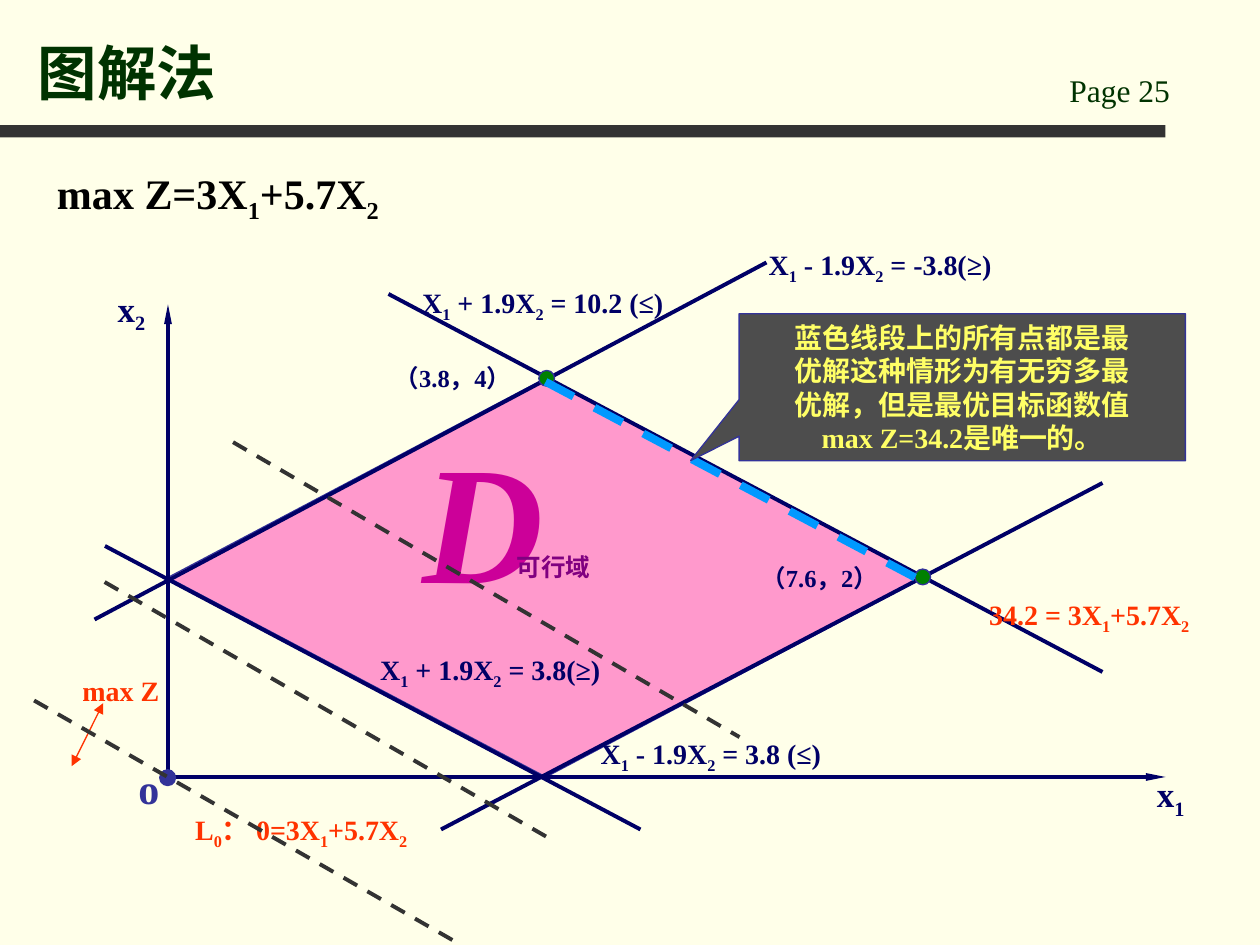
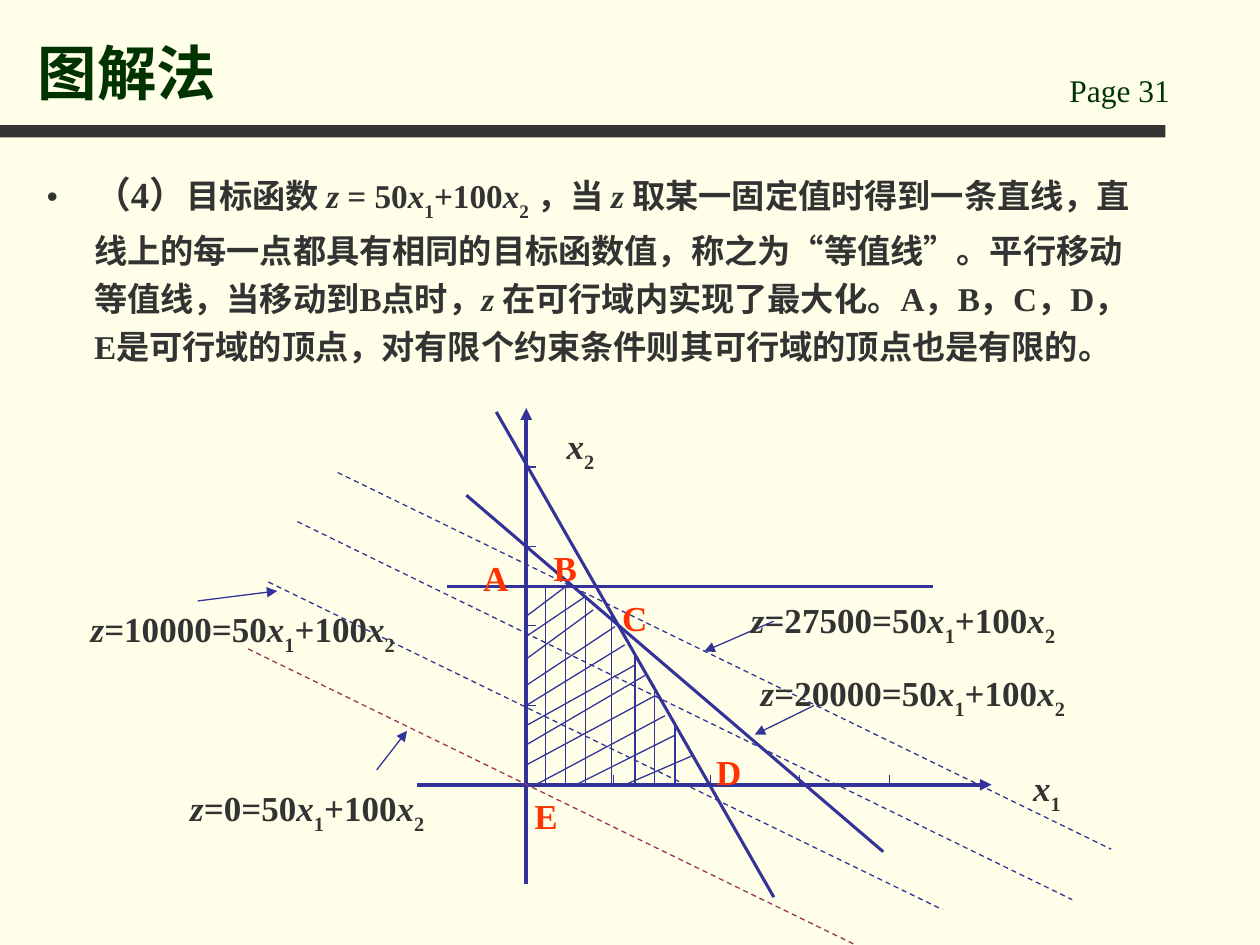
from lxml.etree import SubElement
from pptx import Presentation
from pptx.dml.color import RGBColor
from pptx.enum.dml import MSO_LINE
from pptx.enum.shapes import MSO_CONNECTOR, MSO_SHAPE as Shape
from pptx.enum.text import MSO_ANCHOR as Anchor, MSO_AUTO_SIZE as AutoSize, PP_ALIGN as Align
from pptx.oxml import parse_xml
from pptx.oxml.ns import nsdecls, qn
from pptx.util import Pt

SERIF = "Times New Roman"
CREAM, CHARCOAL, FOREST, BLACK = "FFFFE9", "333333", "003300", "000000"
NAVY, INDIGO, RED, GREEN = "000066", "333399", "FF3300", "008000"
PINK, MAGENTA, PURPLE, SKY = "FF99CC", "CC0099", "800080", "0099FF"
GREY, YELLOW, WINE = "4D4D4D", "FFFF66", "993366"

# Text markup: "|" splits spans; a span may start with
# "_" subscript, "*" italic, "#" larger, "@" Arial.
TITLE = "图解法"

# Feasible region slide: lines are (x1, y1, x2, y2) in points
REGION = (96, 216, 432, 228)
REGION_AXES = [(96, 444, 96, 174), (96, 444, 666, 444)]
REGION_EDGES = [
    (60, 312, 366, 474), (252, 474, 630, 276),
    (54, 354, 438, 150), (222, 168, 630, 384),
]
OBJECTIVE_LINES = [
    (19.5, 400.3, 263.5, 540), (59.8, 332.6, 314.6, 479.5), (133.2, 252.7, 422.6, 421.2),
]
OPTIMAL_SEGMENT = (311.8, 218.2, 527.8, 332.6)
GROWTH_ARROW = (59, 401.8, 41, 437.8)
DOTS = [(95.8, 444.4, INDIGO), (527.3, 329.7, GREEN), (312.4, 216.2, GREEN)]
REGION_LABELS = [  # text, left, top, width, size, colour
    ("max Z=3X|_1|+5.7X|_2", 25.5, 92, 210, 24, BLACK),
    ("x|_1", 654, 438, 42, 20, NAVY),
    ("x|_2", 60.2, 160.5, 42, 20, NAVY),
    ("o", 72, 432, 30, 24, INDIGO),
    ("X|_1| - 1.9X|_2| = 3.8 (≤)", 336.2, 417.5, 150, 16, NAVY),
    ("X|_1| + 1.9X|_2| = 3.8(≥)", 210.2, 369.5, 156, 16, NAVY),
    ("X|_1| - 1.9X|_2| = -3.8(≥)", 432.2, 138, 162, 16, NAVY),
    ("X|_1| + 1.9X|_2| = 10.2 (≤)", 234.2, 159.6, 162, 16, NAVY),
    ("（7.6，2）", 428, 318, 100, 14, NAVY),
    ("（3.8，4）", 218.4, 203.8, 93.5, 14, NAVY),
    ("*D", 234.2, 234, 84, 96, MAGENTA),
    ("可行域", 288.2, 312, 66, 14, PURPLE),
    ("L|_0|： 0=3X|_1|+5.7X|_2", 104.4, 461, 162, 16, RED),
    ("max Z", 40, 381.5, 62, 16, RED),
    ("34.2 = 3X|_1|+5.7X|_2", 558.2, 338.1, 140, 16, RED),
]
CALLOUT = (422.4, 179.3, 255, 84)
CALLOUT_LINES = [
    "蓝色线段上的所有点都是最", "优解这种情形为有无穷多最",
    "优解，但是最优目标函数值", "max Z=34.2是唯一的。",
]

# Level line slide
BODY = (
    "#（4）|目标函数 |*z |= 50|*x|_1|+100|*x|_2| ，当 |*z |"
    "取某一固定值时得到一条直线，直线上的每一点都具有相同的目标函数值，称之为"
    "|@“|等值线|@”|。平行移动等值线，当移动到B点时，|*z |"
    "在可行域内实现了最大化。A，B，C，D，E是可行域的顶点，"
    "对有限个约束条件则其可行域的顶点也是有限的。"
)
ORIGIN_X, ORIGIN_Y = 300.7, 448.4
LEVEL_AXES = [(ORIGIN_X, 505.3, ORIGIN_X, 233.2), (238.4, ORIGIN_Y, 566.6, ORIGIN_Y)]
TICK, TICK_STEP_Y = 5.5, 45.4
TICKS_X = [350.5, 406, 457, 508.3]
CONSTRAINTS = [
    (266.5, 283, 504.7, 486.7), (283.6, 235.4, 442.2, 512.7), (255.5, 335, 533, 335),
]
HATCH_TOPS = [  # x, top of each upright hatch line
    (311.7, 335), (323.2, 335), (334.7, 340.5), (349.3, 352),
    (362.8, 374.5), (374.2, 391.5), (385.7, 414.5),
]
HATCH_SLANTS = [
    (301, 352, 323.5, 335), (301, 363.5, 335, 340.5), (299.5, 377.5, 339, 348.5),
    (301, 391.5, 351.5, 358), (301, 403, 357, 368.5), (301, 414.5, 363, 380),
    (301, 425.5, 368.5, 386), (301, 437, 374.5, 397.5), (306, 448.5, 380, 409),
    (329, 448.5, 386, 420), (357, 448.5, 396.5, 431.5),
]
LEVEL_LINES = [
    (193, 270, 635, 485.3, INDIGO), (170, 298.1, 612.7, 514.1, INDIGO),
    (153.4, 332.6, 538.6, 519.8, INDIGO), (141.8, 370.8, 489, 540, WINE),
]
POINTERS = [
    (465.1, 403.2, 431.3, 419.8), (442.1, 355, 402.5, 372.2),
    (215.3, 439.9, 232.6, 417.6), (113, 343.4, 158.4, 337.7),
]
LEVEL_VALUES = [
    (20000, 419.6, 374.4), (27500, 414, 332.6), (0, 73.6, 440.2), (10000, 36.7, 337.8),
]
AXIS_NAMES = [("*x|_1", 578.2, 428.6), ("*x|_2", 311.7, 233.2)]
VERTICES = [
    ("A", 260.5, 309.5), ("B", 300.3, 304), ("C", 340, 332.6),
    ("D", 393.7, 420.5), ("E", 289.3, 445.6),
]


def rgb(color):
    return RGBColor.from_string(color)


def points(values):
    return [Pt(value) for value in values]


def write(para, text, size, color, bold=True, drop=25):
    """Fill a paragraph from marked-up text; drop is the subscript depth in percent."""
    font = para.font
    font.name, font.size, font.bold = SERIF, Pt(size), bold
    font.color.rgb = rgb(color)
    for piece in text.split("|"):
        mark = piece[0] if piece[0] in "_*#@" else ""
        span = para.add_run()
        span.text = piece[len(mark):]
        if mark == "_":
            span._r.get_or_add_rPr().set("baseline", str(-1000 * drop))
        elif mark == "*":
            span.font.italic = True
        elif mark == "#":
            span.font.size = Pt(size + 2)
        elif mark == "@":
            span.font.name = "Arial"


def add_label(slide, text, left, top, width, size, color, bold=True, drop=25):
    box = slide.shapes.add_textbox(*points((left, top, width, size * 1.2 + 7.2)))
    box.text_frame.word_wrap = True
    para = box.text_frame.paragraphs[0]
    write(para, text, size, color, bold, drop)
    return para


def add_graph_label(slide, text, left, top, width, color=CHARCOAL):
    para = add_label(slide, text, left, top, width, 20, color, drop=30)
    para.alignment = Align.CENTER
    para.line_spacing = 1.2


def add_line(slide, ends, color, width=0.75, dashed=False, arrows=(), head=("med", "med")):
    """Draw a straight line; arrows lists headEnd and/or tailEnd, head is (width, length)."""
    line = slide.shapes.add_connector(MSO_CONNECTOR.STRAIGHT, *points(ends))
    line.line.color.rgb = rgb(color)
    line.line.width = Pt(width)
    if dashed:
        line.line.dash_style = MSO_LINE.DASH
    properties = line._element.spPr
    for arrow in arrows:
        SubElement(properties.find(qn("a:ln")), qn(f"a:{arrow}"),
                   type="triangle", w=head[0], len=head[1])
    SubElement(properties, qn("a:effectLst"))


def add_filled(slide, kind, area, fill, outline=None):
    shape = slide.shapes.add_shape(kind, *points(area))
    shape.shadow.inherit = False
    shape.fill.solid()
    shape.fill.fore_color.rgb = rgb(fill)
    if outline:
        shape.line.color.rgb = rgb(outline)
        shape.line.width = Pt(0.75)
    else:
        shape.line.fill.background()
    return shape


def place(holder, area):
    holder.left, holder.top, holder.width, holder.height = points(area)
    holder.text_frame.auto_size = AutoSize.NONE
    return holder.text_frame


def add_page(deck, layout, number):
    slide = deck.slides.add_slide(deck.slide_layouts[layout])
    add_filled(slide, Shape.RECTANGLE, (0, 71.5, 666, 7), CHARCOAL)
    add_label(slide, f"Page {number}", 604, 37, 102, 18, FOREST, bold=False)
    frame = place(slide.shapes.title, (14.5, 9, 578, 56))
    frame.vertical_anchor = Anchor.BOTTOM
    frame.paragraphs[0].alignment = Align.LEFT
    write(frame.paragraphs[0], TITLE, 34, FOREST)
    return slide


def add_callout(slide):
    callout = add_filled(slide, Shape.RECTANGULAR_CALLOUT, CALLOUT, GREY, INDIGO)
    callout.adjustments[0], callout.adjustments[1] = -0.609, 0.5
    frame = callout.text_frame
    frame.word_wrap = False
    frame.vertical_anchor = Anchor.MIDDLE
    for index, text in enumerate(CALLOUT_LINES):
        para = frame.add_paragraph() if index else frame.paragraphs[0]
        para.alignment = Align.CENTER
        write(para, text, 16, YELLOW)


def build_region_slide(deck):
    slide = add_page(deck, 5, 25)
    add_filled(slide, Shape.DIAMOND, REGION, PINK, INDIGO)
    for axis in REGION_AXES:
        add_line(slide, axis, NAVY, 2.25, arrows=["tailEnd"], head=("sm", "lg"))
    for edge in REGION_EDGES:
        add_line(slide, edge, NAVY, 2.25)
    diameter = 9
    for x, y, color in DOTS:
        area = (x - diameter / 2, y - diameter / 2, diameter, diameter)
        add_filled(slide, Shape.OVAL, area, color, INDIGO)
    add_line(slide, OPTIMAL_SEGMENT, SKY, 4.5, dashed=True)
    add_line(slide, GROWTH_ARROW, RED, arrows=["headEnd", "tailEnd"])
    for label in REGION_LABELS:
        add_label(slide, *label)
    add_callout(slide)
    for line in OBJECTIVE_LINES:
        add_line(slide, line, CHARCOAL, 2.25, dashed=True)


def add_body(slide):
    frame = place(slide.placeholders[1], (19.6, 88.8, 640.8, 368.6))
    para = frame.paragraphs[0]
    para.line_spacing = 1.2
    para.space_before = Pt(3)
    write(para, BODY, 19, CHARCOAL, drop=30)
    properties = para._p.get_or_add_pPr()
    properties.set("marL", str(Pt(27)))
    properties.set("indent", str(Pt(-27)))
    properties.set("hangingPunct", "0")
    bullet_size = parse_xml(f'<a:buSzPct {nsdecls("a")} val="85000"/>')
    properties.insert_element_before(bullet_size, "a:defRPr")


def build_level_slide(deck):
    slide = add_page(deck, 1, 31)
    add_body(slide)
    for axis in LEVEL_AXES:
        add_line(slide, axis, INDIGO, 2.25, arrows=["tailEnd"])
    for constraint in CONSTRAINTS:
        add_line(slide, constraint, INDIGO, 1.75)
    heights = [ORIGIN_Y - TICK_STEP_Y * step for step in range(1, 5)]
    thin_lines = [(ORIGIN_X, y, ORIGIN_X + TICK, y) for y in heights]
    thin_lines += [(x, ORIGIN_Y, x, ORIGIN_Y - TICK) for x in TICKS_X]
    thin_lines += [(x, ORIGIN_Y, x, top) for x, top in HATCH_TOPS]
    for line in thin_lines + HATCH_SLANTS:
        add_line(slide, line, INDIGO)
    for *ends, color in LEVEL_LINES:
        add_line(slide, ends, color, dashed=True)
    for pointer in POINTERS:
        add_line(slide, pointer, INDIGO, arrows=["tailEnd"])
    for value, left, top in LEVEL_VALUES:
        add_graph_label(slide, f"*z|={value}=50|*x|_1|+100|*x|_2", left, top, 204)
    for text, left, top in AXIS_NAMES:
        add_graph_label(slide, text, left, top, 40)
    for text, left, top in VERTICES:
        add_graph_label(slide, text, left, top, 45.5, RED)


def main():
    deck = Presentation()
    deck.slide_width, deck.slide_height = Pt(720), Pt(540)
    background = deck.slide_master.background.fill
    background.solid()
    background.fore_color.rgb = rgb(CREAM)
    build_region_slide(deck)
    build_level_slide(deck)
    deck.save("out.pptx")


if __name__ == "__main__":
    main()
